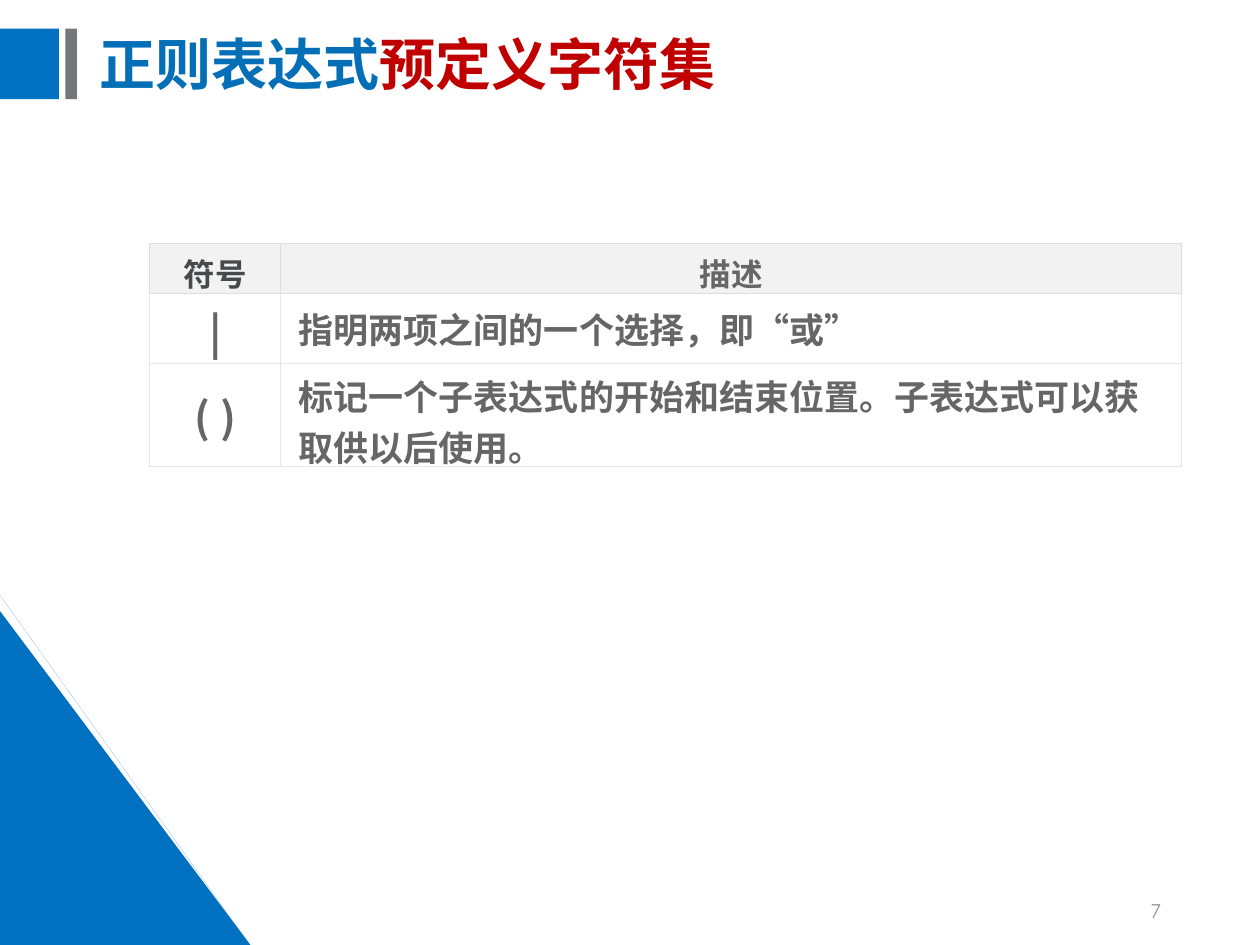
from lxml.etree import SubElement
from pptx import Presentation
from pptx.dml.color import RGBColor
from pptx.enum.shapes import MSO_SHAPE
from pptx.enum.text import MSO_ANCHOR, PP_ALIGN
from pptx.oxml.ns import qn
from pptx.util import Cm, Pt

# Content
TITLE = [("正则表达式", "title"), ("预定义字符集", "accent")]
HEADER = ("符号", "描述")
SYMBOLS = [
    ("|", "指明两项之间的一个选择，即“或”"),
    ("( )", "标记一个子表达式的开始和结束位置。子表达式可以获取供以后使用。"),
]
PAGE_NUMBER = "7"

# Style
COLORS = {
    "blue": "0070C0", "gray": "73777A", "title": "046FB6", "accent": "C00000",
    "header_text": "47494B", "text": "666666", "page": "949596",
    "header_fill": "F2F2F2", "body_fill": "FFFFFF",
    "header_line": "DDDDDD", "body_line": "E6E6E6",
}
CJK_FONT = "Noto Sans CJK SC"
PAGE_FONT = "Comic Neue"

# Geometry in centimetres
SLIDE_WIDTH, SLIDE_HEIGHT = 25.4, 19.05
BAR_TOP, BAR_HEIGHT = 0.58, 1.42
BARS = [(0, 1.19, "blue"), (1.32, 0.23, "gray")]
TRIANGLE = (0, 12.32, 5.05, 6.73)
STRIPE = [(0.38, 12.22), (5.18, 18.62), (5.0, 18.62), (0.38, 12.45)]
TITLE_BOX = (1.75, 0.25, 22.61, 2.21)
PAGE_BOX = (17.93, 17.83, 5.72, 1.02)
TABLE_LEFT, TABLE_TOP = 3.02, 4.9
COLUMN_WIDTHS = (2.64, 18.16)
ROW_HEIGHTS = (0.99, 1.4, 2.08)


def color(name):
    return RGBColor.from_string(COLORS[name])


def paint(shape, name):
    shape.shadow.inherit = False
    shape.fill.solid()
    shape.fill.fore_color.rgb = color(name)
    shape.line.fill.background()


def place(shape, box):
    shape.left, shape.top, shape.width, shape.height = map(Cm, box)


def add_run(paragraph, text, size, color_name, font=CJK_FONT, bold=True):
    run = paragraph.add_run()
    run.text = text
    run.font.size = Pt(size)
    run.font.bold = bold
    run.font.name = font
    run.font.color.rgb = color(color_name)
    SubElement(run._r.get_or_add_rPr(), qn("a:ea"), typeface=font)


def set_borders(cell, sides):
    properties = cell._tc.get_or_add_tcPr()
    for index, (side, name) in enumerate(sides.items()):
        line = properties.makeelement(qn(f"a:{side}"), {"w": str(Pt(0.45))})
        fill = SubElement(line, qn("a:solidFill"))
        SubElement(fill, qn("a:srgbClr"), val=COLORS[name])
        properties.insert(index, line)


def add_decoration(slide):
    shapes = slide.shapes
    for left, width, name in BARS:
        box = map(Cm, (left, BAR_TOP, width, BAR_HEIGHT))
        paint(shapes.add_shape(MSO_SHAPE.RECTANGLE, *box), name)
    triangle = shapes.add_shape(MSO_SHAPE.RIGHT_TRIANGLE, *map(Cm, TRIANGLE))
    paint(triangle, "blue")
    builder = shapes.build_freeform(*STRIPE[0], scale=Cm(1))
    builder.add_line_segments(STRIPE[1:], close=True)
    paint(builder.convert_to_shape(), "blue")


def add_title(slide):
    title = slide.shapes.title
    place(title, TITLE_BOX)
    title.text_frame.vertical_anchor = MSO_ANCHOR.MIDDLE
    paragraph = title.text_frame.paragraphs[0]
    paragraph.alignment = PP_ALIGN.LEFT
    paragraph.line_spacing = 0.9
    for text, name in TITLE:
        add_run(paragraph, text, 32, name)


def add_symbol_table(slide):
    rows = [HEADER, *SYMBOLS]
    frame = slide.shapes.add_table(
        len(rows), len(HEADER), Cm(TABLE_LEFT), Cm(TABLE_TOP),
        Cm(sum(COLUMN_WIDTHS)), Cm(sum(ROW_HEIGHTS)))
    table = frame.table
    for column, width in zip(table.columns, COLUMN_WIDTHS):
        column.width = Cm(width)
    for row, height in zip(table.rows, ROW_HEIGHTS):
        row.height = Cm(height)

    for r, texts in enumerate(rows):
        part = "header" if r == 0 else "body"
        for c, text in enumerate(texts):
            cell = table.cell(r, c)
            cell.vertical_anchor = MSO_ANCHOR.MIDDLE
            cell.margin_left = cell.margin_right = Cm(0.23 if r == 0 else 0.36)
            cell.margin_top = cell.margin_bottom = Cm(0.13)
            cell.fill.solid()
            cell.fill.fore_color.rgb = color(f"{part}_fill")
            sides = dict.fromkeys(("lnL", "lnR", "lnT", "lnB"), f"{part}_line")
            if r == 1:
                sides["lnT"] = "header_line"
            set_borders(cell, sides)

            paragraph = cell.text_frame.paragraphs[0]
            centered = r == 0 or c == 0
            paragraph.alignment = PP_ALIGN.CENTER if centered else PP_ALIGN.LEFT
            size = 18 if r == 0 else (24, 20)[c]
            add_run(paragraph, text, size, "header_text" if r == c == 0 else "text")


def add_page_number(slide):
    text_frame = slide.shapes.add_textbox(*map(Cm, PAGE_BOX)).text_frame
    text_frame.word_wrap = True
    text_frame.vertical_anchor = MSO_ANCHOR.MIDDLE
    paragraph = text_frame.paragraphs[0]
    paragraph.alignment = PP_ALIGN.RIGHT
    add_run(paragraph, PAGE_NUMBER, 12, "page", PAGE_FONT, bold=False)


def main():
    presentation = Presentation()
    presentation.slide_width = Cm(SLIDE_WIDTH)
    presentation.slide_height = Cm(SLIDE_HEIGHT)
    slide = presentation.slides.add_slide(presentation.slide_layouts[5])
    add_decoration(slide)
    add_title(slide)
    add_page_number(slide)
    add_symbol_table(slide)
    presentation.save("out.pptx")


if __name__ == "__main__":
    main()
